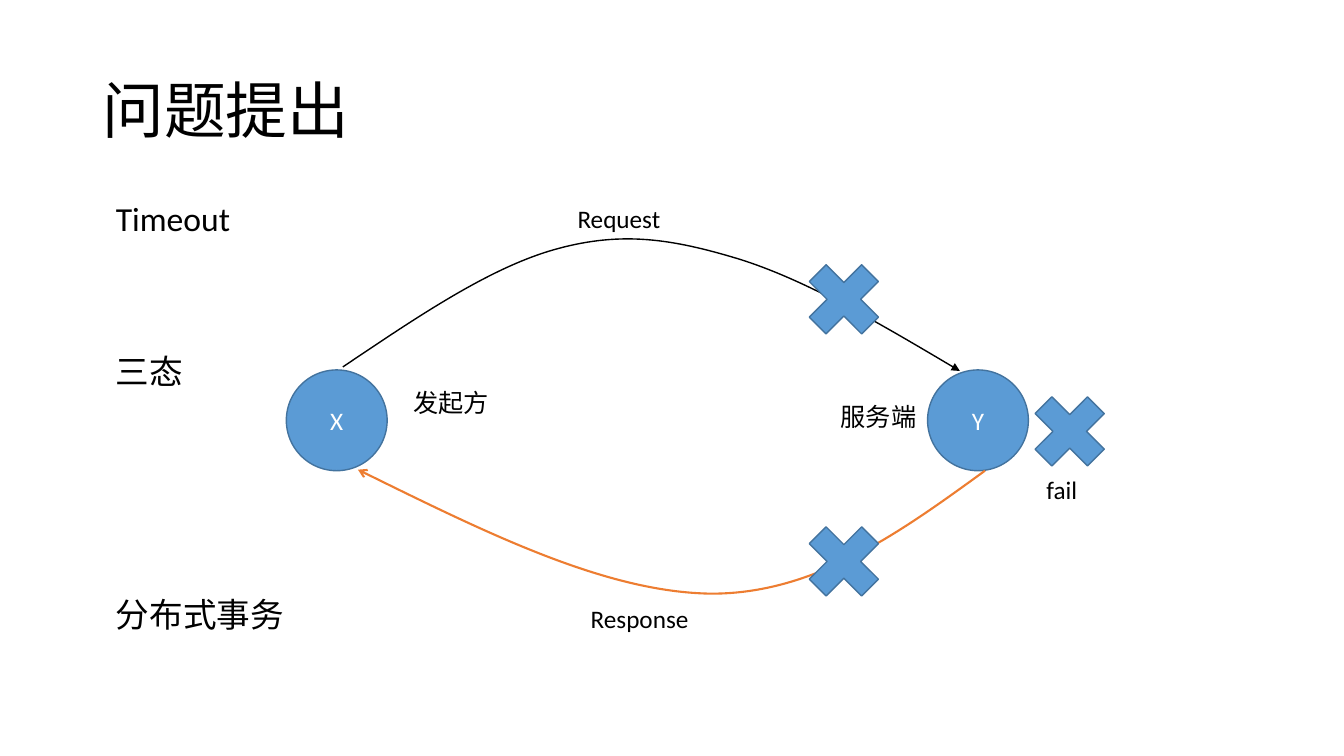
from lxml import etree
from pptx import Presentation
from pptx.dml.color import RGBColor
from pptx.enum import shapes, text
from pptx.oxml.ns import qn
from pptx.util import Inches, Pt

BLUE, EDGE, ORANGE = "5B9BD5", "43739E", "ED7D31"
BLACK, WHITE = "000000", "FFFFFF"


def write(box, words, size, color):
    box.text_frame.text = words
    font = box.text_frame.paragraphs[0].runs[0].font
    font.name = "Calibri"
    font.size = Pt(size)
    font.color.rgb = RGBColor.from_string(color)


def add_blue_shape(kind, left, top):
    shape = page.shapes.add_shape(kind, Inches(left), Inches(top), Inches(1), Inches(1))
    shape.shadow.inherit = False
    shape.fill.solid()
    shape.fill.fore_color.rgb = RGBColor.from_string(BLUE)
    shape.line.color.rgb = RGBColor.from_string(EDGE)
    shape.line.width = Pt(1)
    return shape


deck = Presentation()
deck.slide_width, deck.slide_height = Inches(13.33), Inches(7.5)
page = deck.slides.add_slide(deck.slide_layouts[6])

# Title
title = page.shapes.add_textbox(Inches(0.92), Inches(0.4), Inches(11.5), Inches(1.45))
title.text_frame.word_wrap = True
title.text_frame.vertical_anchor = text.MSO_ANCHOR.MIDDLE
write(title, "问题提出", 44, BLACK)
title.text_frame.paragraphs[0].line_spacing = 0.9

# The two parties
for name, left in [("X", 2.84), ("Y", 9.2)]:
    party = add_blue_shape(shapes.MSO_SHAPE.OVAL, left, 3.67)
    write(party, name, 18, WHITE)
    party.text_frame.vertical_anchor = text.MSO_ANCHOR.MIDDLE
    party.text_frame.paragraphs[0].alignment = text.PP_ALIGN.CENTER

# Request and response arrows: a start, then two controls and an end per curve
request = [(3.4, 3.64), (4.13, 3.15), (4.86, 2.65), (5.52, 2.47), (6.17, 2.29),
           (6.67, 2.37), (7.33, 2.57), (8, 2.78), (8.76, 3.23), (9.52, 3.68)]
response = [(9.77, 4.67), (8.93, 5.28), (8.09, 5.89), (7.06, 5.89),
            (6.02, 5.88), (4.79, 5.27), (3.55, 4.66)]
for points, color, width, head in [(request, BLACK, 1, "triangle"),
                                   (response, ORANGE, 1.5, "arrow")]:
    start, *others = [(Inches(x), Inches(y)) for x, y in points]
    builder = page.shapes.build_freeform(*start)
    builder.add_line_segments(others, close=False)
    arrow = builder.convert_to_shape()
    arrow.shadow.inherit = False
    arrow.fill.background()
    arrow.line.color.rgb = RGBColor.from_string(color)
    arrow.line.width = Pt(width)
    properties = arrow._element.spPr
    etree.SubElement(properties.find(qn("a:ln")), qn("a:tailEnd"), type=head)

    # Turn every three straight segments into one Bézier curve
    outline = next(properties.iter(qn("a:path")))
    for index, segment in enumerate(outline.findall(qn("a:lnTo"))):
        if index % 3 == 0:
            curve = etree.SubElement(outline, qn("a:cubicBezTo"))
        curve.append(segment[0])
        outline.remove(segment)

# Failure marks
for left, top in [(7.87, 2.47), (7.87, 5.07), (10.11, 3.78)]:
    add_blue_shape(shapes.MSO_SHAPE.MATH_MULTIPLY, left, top)

# Labels and topics
for words, left, top, width, size in [
    ("发起方", 4, 3.79, 0.96, 18),
    ("服务端", 8.24, 3.93, 0.96, 18),
    ("Request", 5.63, 1.97, 1.03, 18),
    ("Response", 5.76, 5.94, 1.18, 18),
    ("fail", 10.28, 4.66, 0.51, 18),
    ("Timeout", 1.05, 1.91, 1.42, 24),
    ("三态", 1.05, 3.43, 0.88, 24),
    ("分布式事务", 1.05, 5.84, 1.88, 24),
]:
    height = 0.4 if size == 18 else 0.5
    label = page.shapes.add_textbox(Inches(left), Inches(top), Inches(width), Inches(height))
    label.text_frame.word_wrap = False
    label.text_frame.auto_size = text.MSO_AUTO_SIZE.SHAPE_TO_FIT_TEXT
    write(label, words, size, BLACK)

deck.save("out.pptx")
